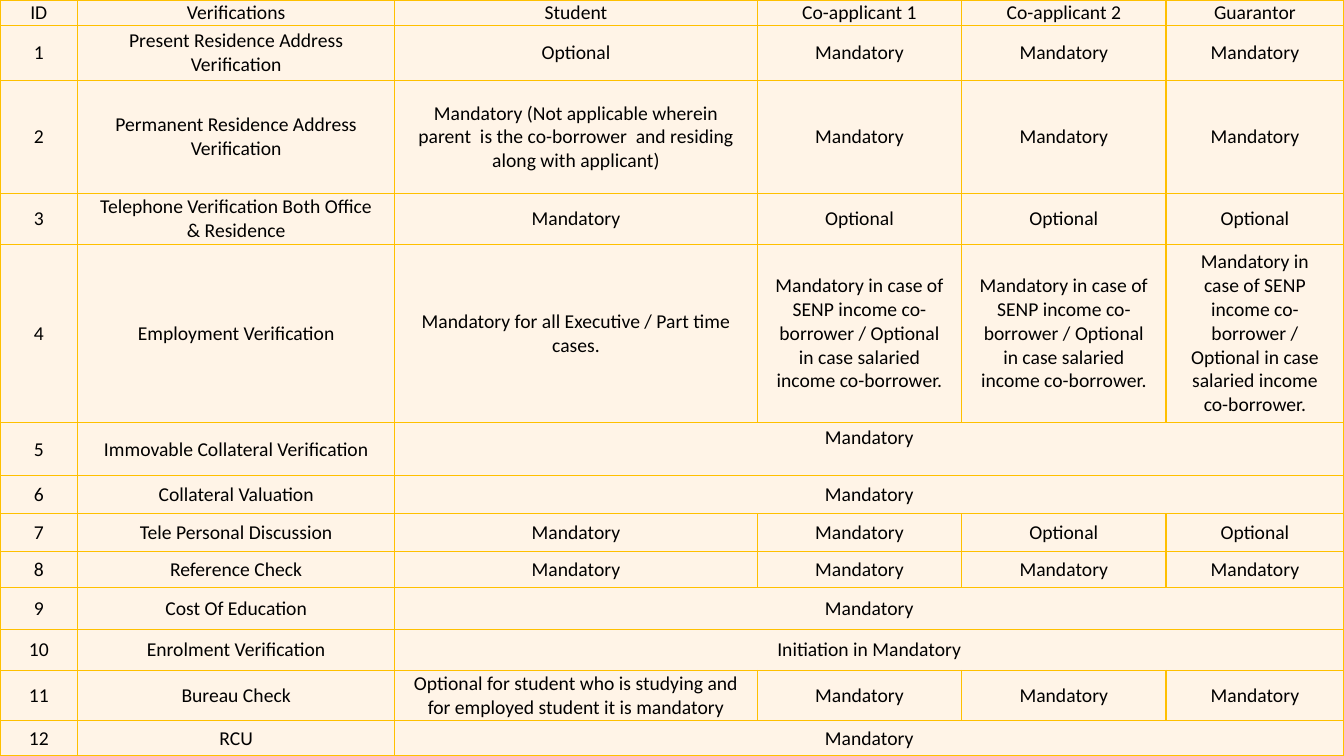
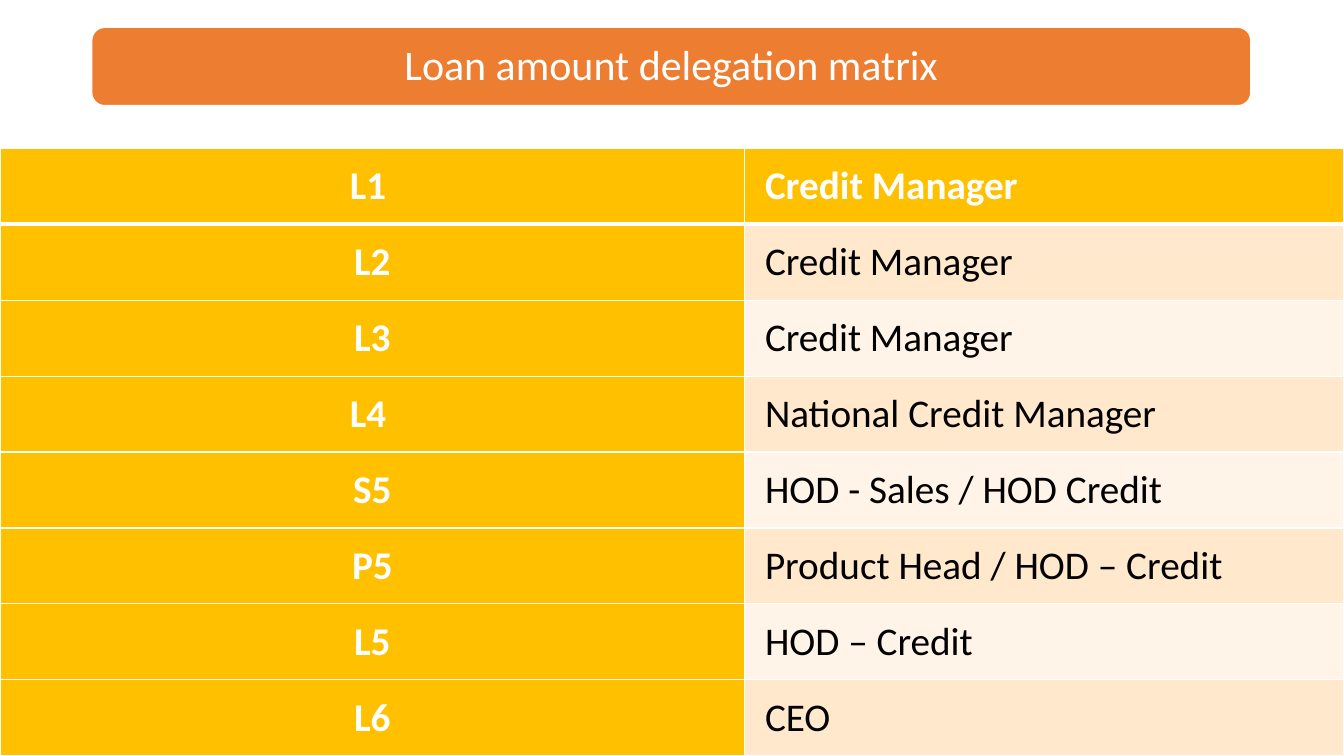
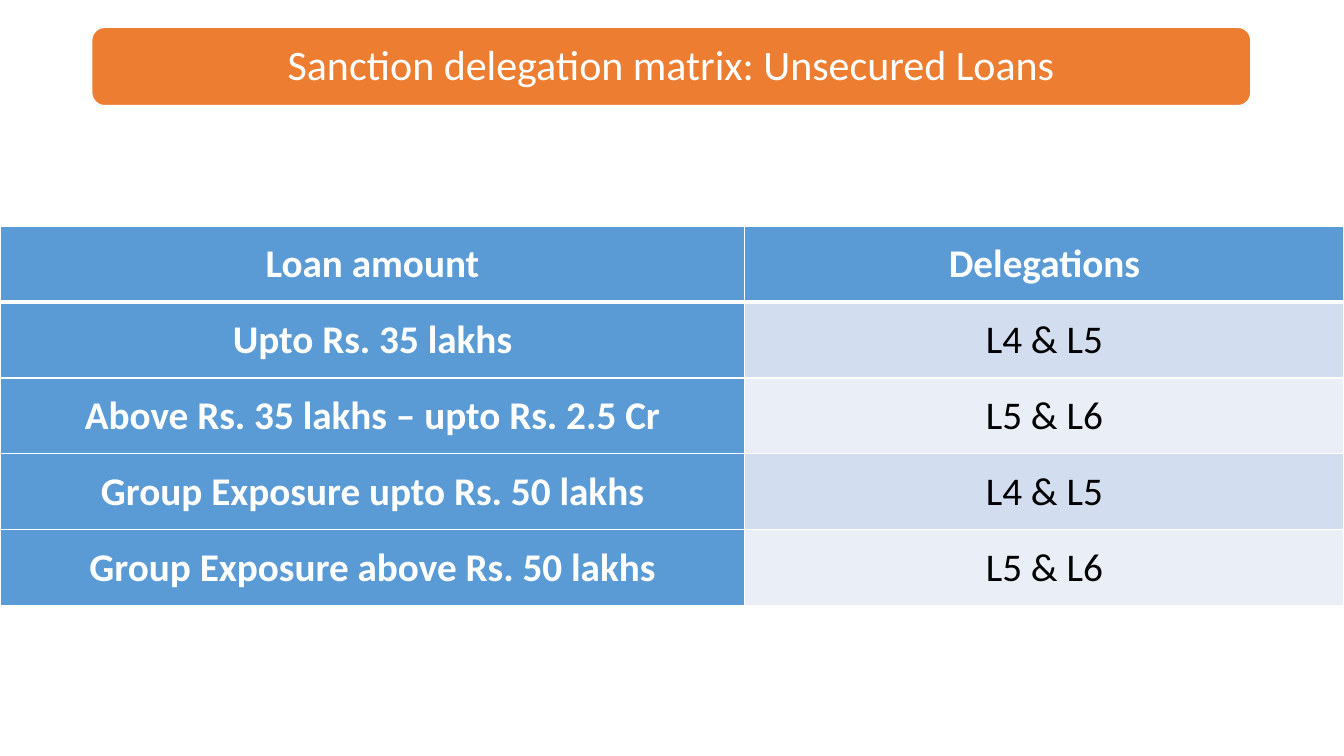
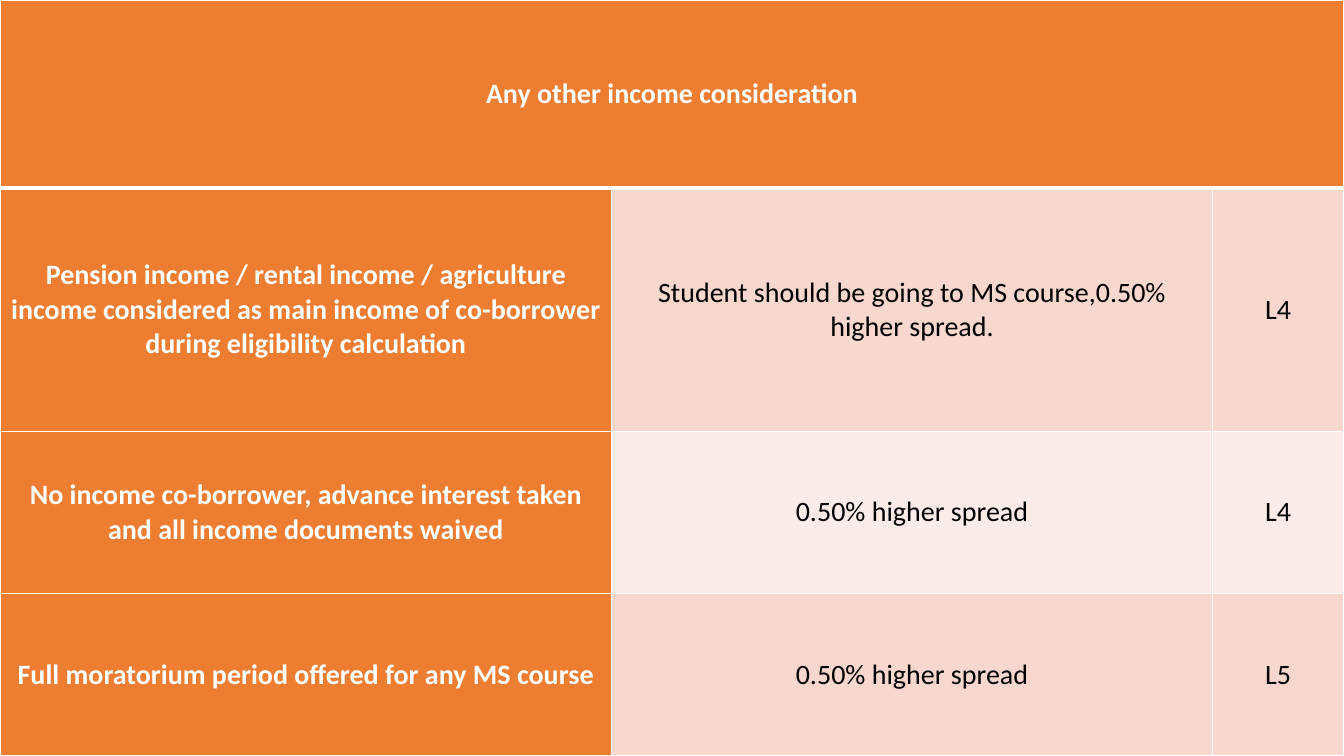
"""Build four slides of loan verification and sanction delegation tables."""
import dataclasses

import lxml.etree
import pptx
import pptx.dml.color
import pptx.enum.shapes
import pptx.enum.text
import pptx.oxml.ns
import pptx.util

Pt = pptx.util.Pt
RGB = pptx.dml.color.RGBColor.from_string
ALIGN = pptx.enum.text.PP_ALIGN
MIDDLE = pptx.enum.text.MSO_ANCHOR.MIDDLE


@dataclasses.dataclass(frozen=True)
class Theme:
    font: str = "Calibri"
    white: str = "FFFFFF"
    black: str = "000000"
    orange: str = "ED7D31"
    gold: str = "FFC000"
    blue: str = "5B9BD5"
    gold_bands: tuple = ("FFE8CC", "FFF4E7")
    blue_bands: tuple = ("D2DEEF", "EAEFF7")
    orange_bands: tuple = ("F8D7CE", "FCECE8")
    banner_size: int = 30
    matrix_size: int = 28
    income_size: int = 20
    check_size: int = 14
    rule: int = 1
    header_rule: int = 3


theme = Theme()


def add_grid(slide, top, widths, heights, rows, size, inset, bands, accent=None,
             border=theme.white, last_align=ALIGN.CENTER):
    """Add a table; a short row stretches its last cell to the right edge."""
    table = slide.shapes.add_table(len(rows), len(widths), 0, Pt(top),
                                   Pt(sum(widths)), Pt(sum(heights))).table
    table.horz_banding = False
    for column, width in zip(table.columns, widths):
        column.width = Pt(width)
    for r, (entries, height) in enumerate(zip(rows, heights)):
        table.rows[r].height = Pt(height)
        for c in range(len(widths)):
            cell = table.cell(r, c)
            strong = accent is not None and (r == 0 or c == 0)
            cell.fill.solid()
            cell.fill.fore_color.rgb = RGB(accent if strong else bands[(r - 1) % len(bands)])
            cell.margin_left = cell.margin_right = Pt(inset)
            cell.margin_top = cell.margin_bottom = 0
            cell.vertical_anchor = MIDDLE
            for i, side in enumerate(("lnL", "lnR", "lnT", "lnB")):
                under_header = (r, side) in ((0, "lnB"), (1, "lnT"))
                weight = theme.header_rule if accent and under_header else theme.rule
                edge = lxml.etree.Element(pptx.oxml.ns.qn("a:" + side), w=str(Pt(weight)))
                paint = lxml.etree.SubElement(edge, pptx.oxml.ns.qn("a:solidFill"))
                lxml.etree.SubElement(paint, pptx.oxml.ns.qn("a:srgbClr"), val=border)
                cell._tc.get_or_add_tcPr().insert(i, edge)
            if c < len(entries):
                paragraph = cell.text_frame.paragraphs[0]
                paragraph.alignment = last_align if c == len(widths) - 1 else ALIGN.CENTER
                run = paragraph.add_run()
                run.text = entries[c]
                run.font.name = theme.font
                run.font.size = Pt(size)
                run.font.bold = strong
                run.font.color.rgb = RGB(theme.white if strong else theme.black)
        if len(entries) < len(widths):
            table.cell(r, len(entries) - 1).merge(table.cell(r, len(widths) - 1))
    return table


def add_banner(slide, title):
    """Add the rounded title band."""
    banner = slide.shapes.add_shape(pptx.enum.shapes.MSO_SHAPE.ROUNDED_RECTANGLE,
                                    Pt(65.5), Pt(19.5), Pt(828), Pt(56))
    banner.shadow.inherit = False
    banner.fill.solid()
    banner.fill.fore_color.rgb = RGB(theme.orange)
    banner.line.color.rgb = RGB(theme.white)
    banner.line.width = Pt(theme.rule)
    banner.text_frame.word_wrap = True
    banner.text_frame.vertical_anchor = MIDDLE
    paragraph = banner.text_frame.paragraphs[0]
    paragraph.alignment = ALIGN.CENTER
    paragraph.line_spacing = 0.9
    run = paragraph.add_run()
    run.text = title
    run.font.name = theme.font
    run.font.size = Pt(theme.banner_size)
    run.font.color.rgb = RGB(theme.white)


deck = pptx.Presentation()
deck.slide_width, deck.slide_height = Pt(960), Pt(540)
blank = deck.slide_layouts[6]

must, may = "Mandatory", "Optional"
by_income = ("Mandatory in case of SENP income co-borrower / "
             "Optional in case salaried income co-borrower.")
checks = [
    ("ID", "Verifications", "Student", "Co-applicant 1", "Co-applicant 2", "Guarantor"),
    ("1", "Present Residence Address Verification", may, must, must, must),
    ("2", "Permanent Residence Address Verification",
     "Mandatory (Not applicable wherein parent  is the co-borrower  "
     "and residing along with applicant)", must, must, must),
    ("3", "Telephone Verification Both Office & Residence", must, may, may, may),
    ("4", "Employment Verification", "Mandatory for all Executive / Part time cases.",
     by_income, by_income, by_income),
    ("5", "Immovable Collateral Verification", must),
    ("6", "Collateral Valuation", must),
    ("7", "Tele Personal Discussion", must, must, may, may),
    ("8", "Reference Check", must, must, must, must),
    ("9", "Cost Of Education", must),
    ("10", "Enrolment Verification", "Initiation in Mandatory"),
    ("11", "Bureau Check",
     "Optional for student who is studying and for employed student it is mandatory",
     must, must, must),
    ("12", "RCU", must),
]
verification = add_grid(
    deck.slides.add_slide(blank), 0, (55.5, 226.5, 259, 146, 146, 127),
    (18, 39.5, 81, 36, 127.5, 38, 27, 27, 26, 30, 29, 36, 25),
    checks, theme.check_size, 11.5, theme.gold_bands[1:], border=theme.gold)
verification.cell(5, 2).margin_bottom = Pt(17)

levels = [
    ("L1 ", "Credit Manager"),
    ("L2", "Credit Manager"),
    ("L3", "Credit Manager"),
    ("L4 ", "National Credit Manager"),
    ("S5", "HOD - Sales / HOD Credit"),
    ("P5", "Product Head / HOD – Credit"),
    ("L5", "HOD – Credit"),
    ("L6", "CEO"),
]
sanctions = [
    ("Loan amount", "Delegations"),
    ("Upto Rs. 35 lakhs", "L4 & L5"),
    ("Above Rs. 35 lakhs – upto Rs. 2.5 Cr", "L5 & L6"),
    ("Group Exposure upto Rs. 50 lakhs", "L4 & L5"),
    ("Group Exposure above Rs. 50 lakhs", "L5 & L6"),
]
matrices = [
    ("Loan amount delegation matrix", 106, levels,
     theme.gold_bands, theme.gold, ALIGN.JUSTIFY),
    ("Sanction delegation matrix: Unsecured Loans", 161.5, sanctions,
     theme.blue_bands, theme.blue, ALIGN.CENTER),
]
for title, top, rows, bands, accent, last_align in matrices:
    matrix_slide = deck.slides.add_slide(blank)
    add_grid(matrix_slide, top, (532, 428), [54.25] * len(rows), rows,
             theme.matrix_size, 14.5, bands, accent, last_align=last_align)
    add_banner(matrix_slide, title)

incomes = [
    ("Any other income consideration",),
    ("Pension income / rental income / agriculture income considered as main income "
     "of co-borrower during eligibility calculation",
     "Student should be going to MS course,0.50% higher spread.", "L4"),
    ("No income co-borrower, advance interest taken and all income documents waived",
     "0.50% higher spread", "L4"),
    ("Full moratorium period offered for any MS course", "0.50% higher spread", "L5"),
]
add_grid(deck.slides.add_slide(blank), 0, (437, 429, 94), (134.5, 173.5, 116, 116),
         incomes, theme.income_size, 5, theme.orange_bands, theme.orange)

deck.save("out.pptx")
